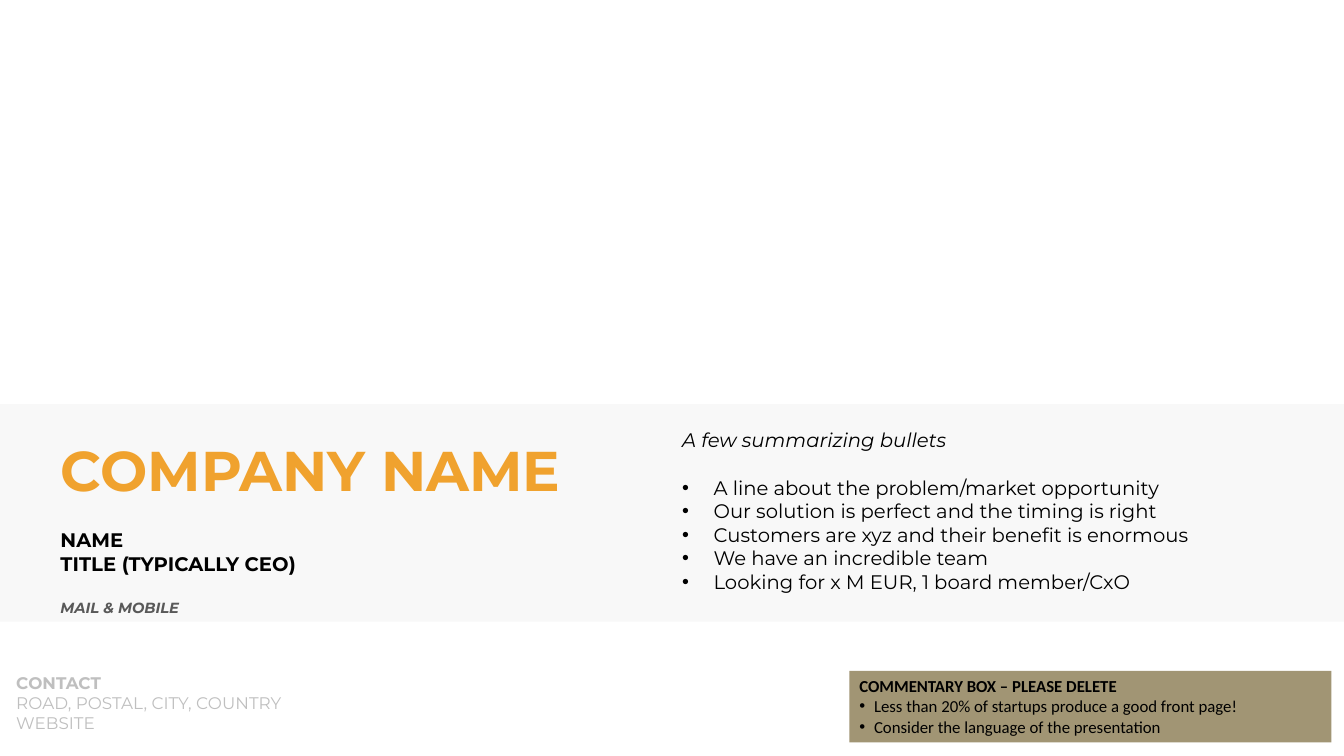
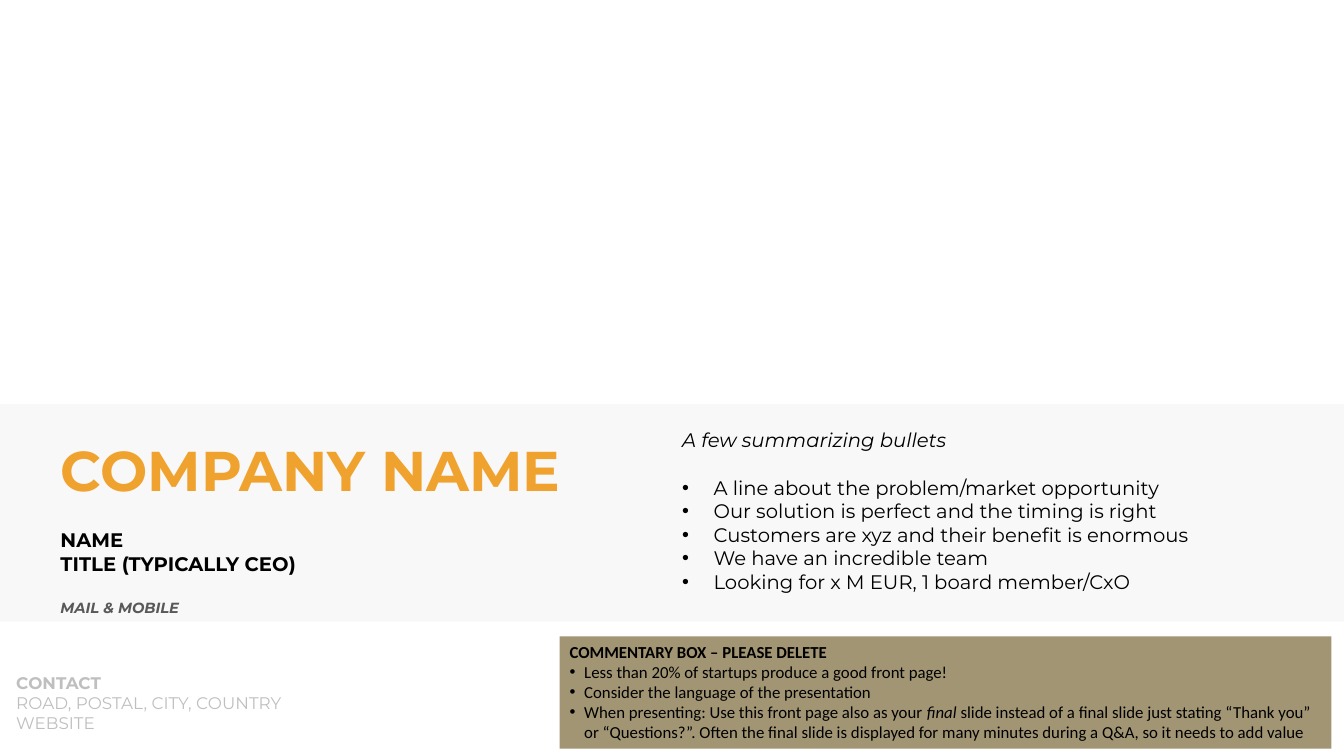
from lxml import etree
from pptx import Presentation
from pptx.dml.color import RGBColor as RGB
from pptx.enum.shapes import MSO_SHAPE as SHAPE
from pptx.enum.text import MSO_ANCHOR as ANCHOR, MSO_AUTO_SIZE as AUTO, PP_ALIGN as ALIGN
from pptx.oxml.ns import qn
from pptx.util import Emu, Pt

PX = 9525
WIDTH, HEIGHT = 1280, 720
COMMENT_RIGHT = 1268

ORANGE = RGB(0xF0, 0xA2, 0x2E)
BLACK = RGB(0x00, 0x00, 0x00)
GREY = RGB(0x59, 0x59, 0x59)
PALE = RGB(0xBF, 0xBF, 0xBF)
BAND = RGB(0xF2, 0xF2, 0xF2)
KHAKI = RGB(0xA1, 0x95, 0x74)

TITLE = dict(name="Montserrat", size=Pt(40), bold=True, color=ORANGE)
PRESENTER = dict(name="Montserrat", size=Pt(14), bold=True, color=BLACK)
MAIL = dict(size=Pt(10.5), italic=True, color=GREY)
SUMMARY = dict(name="Montserrat", size=Pt(14), bold=False, color=BLACK)
CONTACT = dict(name="Montserrat", size=Pt(12), bold=False, color=PALE)
COMMENT = dict(name="Calibri", size=Pt(12), bold=False, color=BLACK)
BOLD = dict(bold=True)
ITALIC = dict(italic=True)

BULLETS = [
    "A line about the problem/market opportunity",
    "Our solution is perfect and the timing is right",
    "Customers are xyz and their benefit is enormous",
    "We have an incredible team",
    "Looking for x M EUR, 1 board member/CxO",
]
FRONT_TIPS = [
    [("Less than 20% of startups produce a good front page!", {})],
    [("Consider the language of the presentation", {})],
]
FINAL_TIP = [
    ("When presenting: Use this front page also as your ", {}),
    ("final", ITALIC),
    (" slide instead of a final slide just stating “Thank you” or “Questions?”. "
     "Often the final slide is displayed for many minutes during a Q&A, "
     "so it needs to add value", {}),
]


def px(*values):
    return [Emu(v * PX) for v in values]


def place(sp, box):
    for key, value in zip(("left", "top", "width", "height"), px(*box)):
        setattr(sp, key, value)


def set_font(font, style):
    for key, value in style.items():
        if key == "color":
            font.color.rgb = value
        else:
            setattr(font, key, value)


def set_bullet(p, indent):
    pPr = p._p.get_or_add_pPr()
    pPr.set("marL", str(indent * PX))
    pPr.set("indent", str(-indent * PX))
    if indent:
        etree.SubElement(pPr, qn("a:buFont")).set("typeface", "Arial")
        etree.SubElement(pPr, qn("a:buChar")).set("char", "•")
    else:
        etree.SubElement(pPr, qn("a:buNone"))


def write(tf, paragraphs, style):
    frame = dict(word_wrap=True, auto_size=AUTO.NONE, vertical_anchor=ANCHOR.TOP)
    for key, value in frame.items():
        setattr(tf, key, value)
    for i, (runs, indent, before) in enumerate(paragraphs):
        p = tf.add_paragraph() if i else tf.paragraphs[0]
        p.alignment = ALIGN.LEFT
        p.space_before = Pt(before)
        set_bullet(p, indent)
        for text, extra in runs:
            r = p.add_run()
            r.text = text
            set_font(r.font, {**style, **extra})


def plain(text, before=0, **extra):
    return [(text, extra)], 0, before


def add_rect(slide, box, color):
    sp = slide.shapes.add_shape(SHAPE.RECTANGLE, *px(*box))
    sp.shadow.inherit = False
    sp.fill.solid()
    sp.fill.fore_color.rgb = color
    sp.line.fill.background()
    return sp


def add_band(slide):
    sp = add_rect(slide, (0, 385, WIDTH, 207), BAND)
    color = sp.fill._xPr.find(".//" + qn("a:srgbClr"))
    etree.SubElement(color, qn("a:alpha")).set("val", "50000")
    tree = slide.shapes._spTree
    tree.remove(sp._element)
    tree.insert(2, sp._element)


def fill_placeholder(slide, idx, box, paragraphs, style):
    sp = slide.placeholders[idx]
    place(sp, box)
    write(sp.text_frame, paragraphs, style)


def add_contact(slide):
    sp = slide.shapes.add_textbox(*px(6, 636, 360, 68))
    write(sp.text_frame, [
        plain("CONTACT", **BOLD),
        plain("ROAD, POSTAL, CITY, COUNTRY"),
        plain("WEBSITE"),
    ], CONTACT)


def add_comment(slide, left, top, height, tips):
    sp = add_rect(slide, (left, top, COMMENT_RIGHT - left, height), KHAKI)
    heading = plain("COMMENTARY BOX – PLEASE DELETE", **BOLD)
    write(sp.text_frame, [heading] + [(tip, 14, 0) for tip in tips], COMMENT)


def add_front_page(prs):
    slide = prs.slides.add_slide(prs.slide_layouts.get_by_name("Two Content"))
    add_band(slide)
    fill_placeholder(slide, 0, (48, 410, 592, 76), [plain("COMPANY NAME")], TITLE)
    fill_placeholder(slide, 1, (48, 498, 592, 94), [
        plain("NAME"),
        plain("TITLE (TYPICALLY CEO)"),
        plain("MAIL & MOBILE", before=17, **MAIL),
    ], PRESENTER)
    summary = [([(text, {})], 30, 0 if i else 17) for i, text in enumerate(BULLETS)]
    fill_placeholder(slide, 2, (640, 403, 606, 168),
                     [plain("A few summarizing bullets", **ITALIC)] + summary, SUMMARY)
    add_contact(slide)
    return slide


def main():
    prs = Presentation()
    prs.slide_width, prs.slide_height = px(WIDTH, HEIGHT)
    add_comment(add_front_page(prs), 809, 639, 68, FRONT_TIPS)
    add_comment(add_front_page(prs), 533, 606, 107, FRONT_TIPS + [FINAL_TIP])
    prs.save("out.pptx")


if __name__ == "__main__":
    main()
